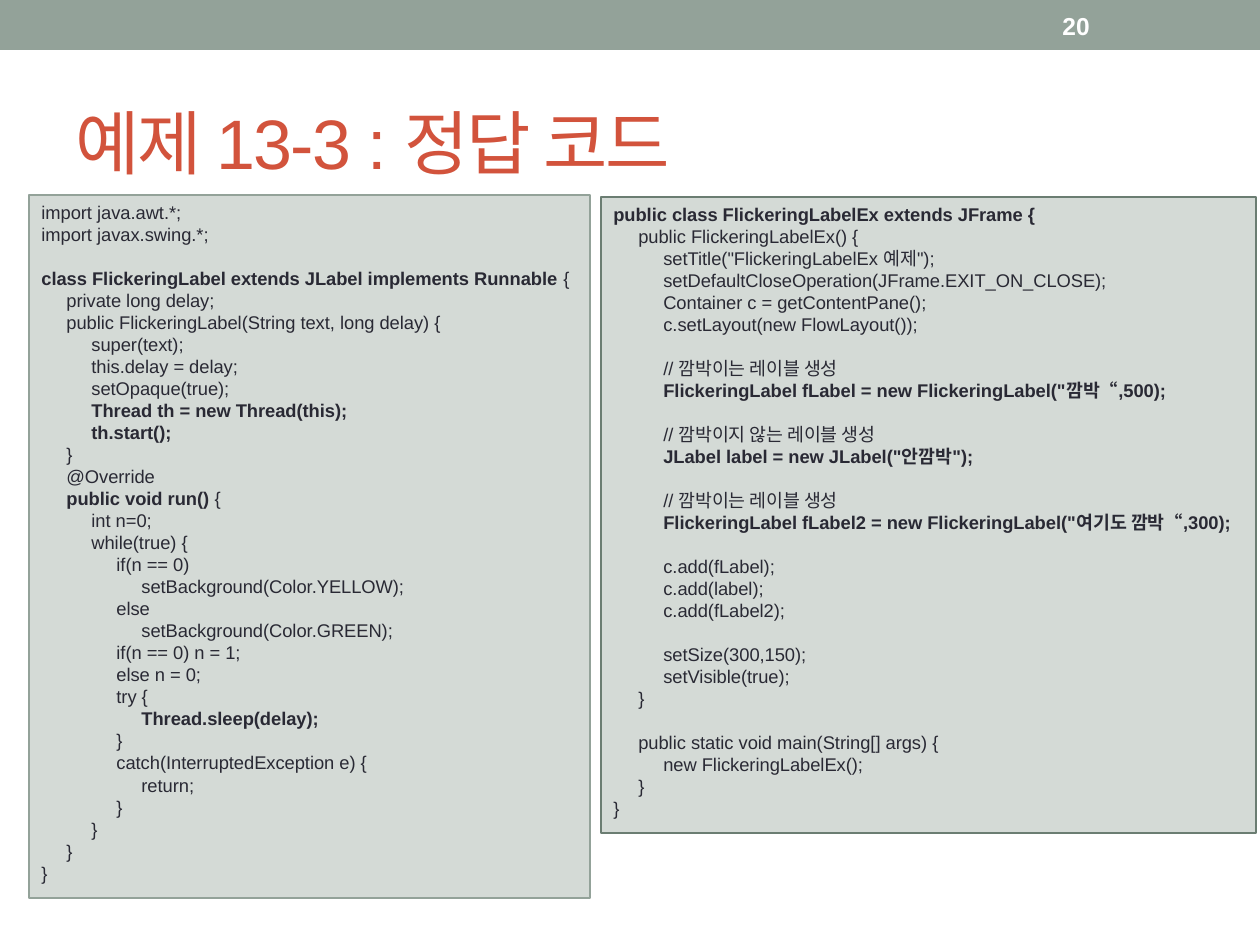
import pptx
import pptx.util
import pptx.dml.color
import pptx.enum.shapes
import pptx.enum.text

PX = 914400 / 126
INDENT = 25  # px per code level
LINE = 12.5  # pt, height of one code line
COLORS = {
    "band": "93A299",
    "title": "D2533C",
    "number": "FFFFFF",
    "panel": "D4DAD6",
    "left_edge": "93A299",
    "right_edge": "6B7D72",
    "code": "292934",
}

# Four spaces make one level, ** switches bold on and off
LEFT_CODE = """\
import java.awt.*;
import javax.swing.*;

**class FlickeringLabel extends JLabel implements Runnable **{
    private long delay;
    public FlickeringLabel(String text, long delay) {
        super(text);
        this.delay = delay;
        setOpaque(true);
        **Thread th = new Thread(this);
        **th.start();
    }
    @Override
    **public void run() **{
        int n=0;
        while(true) {
            if(n == 0)
                setBackground(Color.YELLOW);
            else
                setBackground(Color.GREEN);
            if(n == 0) n = 1;
            else n = 0;
            try {
                **Thread.sleep(delay);
            }
            catch(InterruptedException e) {
                return;
            }
        }
    }
}"""

RIGHT_CODE = """\
**public class FlickeringLabelEx extends JFrame {
    public FlickeringLabelEx() {
        setTitle("FlickeringLabelEx 예제");
        setDefaultCloseOperation(JFrame.EXIT_ON_CLOSE);
        Container c = getContentPane();
        c.setLayout(new FlowLayout());

        // 깜박이는 레이블 생성
        **FlickeringLabel fLabel = new FlickeringLabel("깜박“,500);

        // 깜박이지 않는 레이블 생성
        **JLabel label = new JLabel("안깜박");

        // 깜박이는 레이블 생성
        **FlickeringLabel fLabel2 = new FlickeringLabel("여기도 깜박“,300);

        c.add(fLabel);
        c.add(label);
        c.add(fLabel2);

        setSize(300,150);
        setVisible(true);
    }

    public static void main(String[] args) {
        new FlickeringLabelEx();
    }
}"""


def px(*lengths):
    return [pptx.util.Emu(round(n * PX)) for n in lengths]


def style(r, size, color, bold=False):
    r.font.name = "Arial"
    r.font.size = pptx.util.Pt(size)
    r.font.bold = bold
    r.font.color.rgb = pptx.dml.color.RGBColor.from_string(COLORS[color])


prs = pptx.Presentation()
prs.slide_width, prs.slide_height = px(1260, 945)
s = prs.slides.add_slide(prs.slide_layouts[6])

# Top band and the two code panels
for box, fill, edge, code in [
    ((0, 0, 1260, 50), "band", None, ""),
    ((29, 195, 561, 703), "panel", "left_edge", LEFT_CODE),
    ((601, 197, 655, 636), "panel", "right_edge", RIGHT_CODE),
]:
    sp = s.shapes.add_shape(pptx.enum.shapes.MSO_SHAPE.RECTANGLE, *px(*box))
    sp.shadow.inherit = False
    sp.fill.solid()
    sp.fill.fore_color.rgb = pptx.dml.color.RGBColor.from_string(COLORS[fill])
    if edge is None:
        sp.line.fill.background()
        continue
    sp.line.color.rgb = pptx.dml.color.RGBColor.from_string(COLORS[edge])
    sp.line.width = pptx.util.Pt(0.75)

    tf = sp.text_frame
    tf.word_wrap = True
    tf.vertical_anchor = pptx.enum.text.MSO_ANCHOR.TOP
    p, gap = tf.paragraphs[0], 0
    for i, line in enumerate(code.splitlines()):
        if not line:
            gap = LINE
            continue
        if i:
            p = tf.add_paragraph()
        p.alignment = pptx.enum.text.PP_ALIGN.LEFT
        p.space_before = pptx.util.Pt(gap)
        gap = 0
        text = line.lstrip(" ")
        level = (len(line) - len(text)) // 4
        p._p.get_or_add_pPr().set("marL", str(px(level * INDENT)[0]))
        for part, words in enumerate(text.split("**")):
            if words:
                r = p.add_run()
                r.text = words
                style(r, 10.5, "code", bold=part % 2 == 1)

# Title and slide number
for box, text, size, color, bold in [
    ((63, 73, 1134, 136), "예제 13-3 : 정답 코드", 40, "title", False),
    ((1050, 3, 147, 45), "20", 14, "number", True),
]:
    tf = s.shapes.add_textbox(*px(*box)).text_frame
    tf.word_wrap = True
    tf.vertical_anchor = pptx.enum.text.MSO_ANCHOR.MIDDLE
    tf.text = text
    r = tf.paragraphs[0].runs[0]
    style(r, size, color, bold)
    if color == "title":
        r.font._element.set("spc", "-100")

prs.save("out.pptx")
